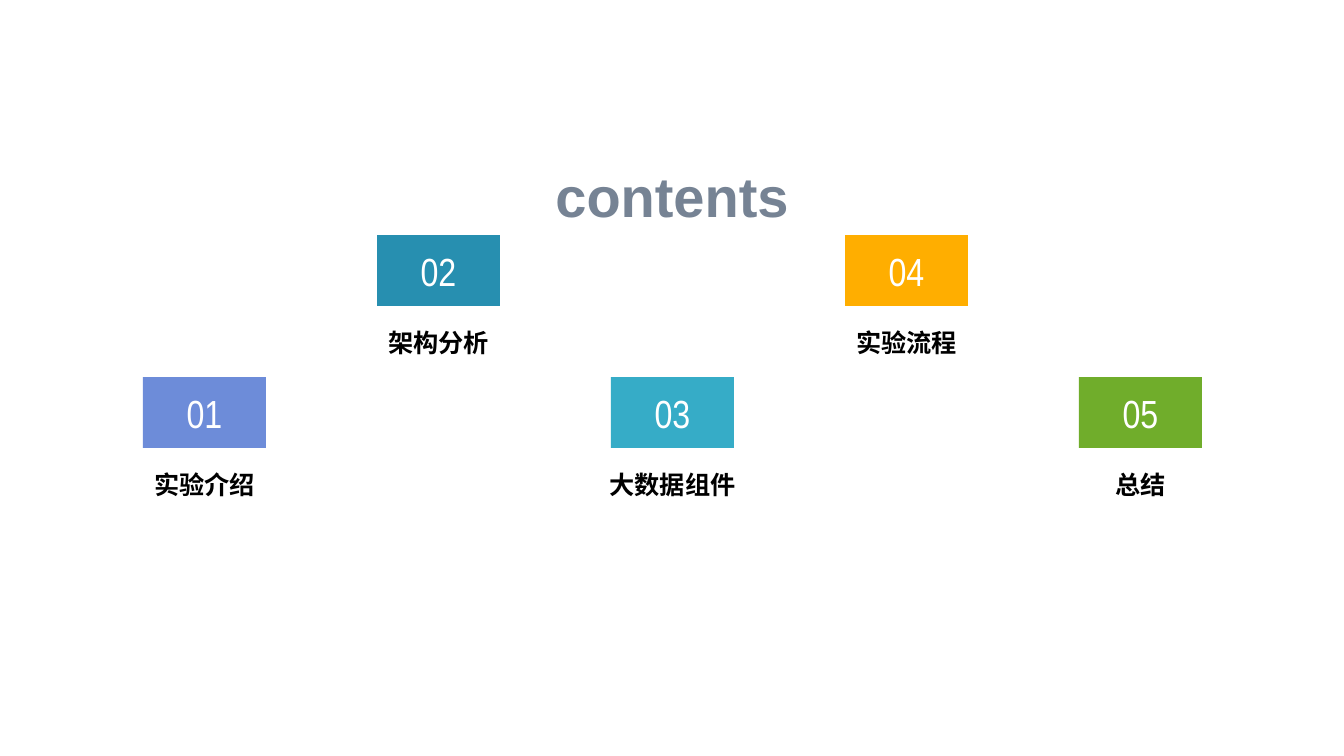
from pptx import Presentation
from pptx import util as u
from pptx.dml.color import RGBColor
from pptx.enum import shapes, text

PX = 914400 / 100.8  # EMU in one px


class Theme:
    title, label, number = "768394", "000000", "FFFFFF"
    boxes = ["6D8CD9", "278FB0", "36ACC7", "FFAE00", "70AD2B"]
    title_pt, label_pt, number_pt = 40, 18, 28
    font, number_font = "Arial", "Arial Narrow"


def px(*lengths):
    return [u.Emu(round(n * PX)) for n in lengths]


def write(sp, words, font, size, color, bold, anchor, inset):
    tf = sp.text_frame
    tf.word_wrap = False
    tf.auto_size = text.MSO_AUTO_SIZE.NONE
    tf.vertical_anchor = anchor
    tf.margin_left, tf.margin_top, tf.margin_right, tf.margin_bottom = px(*inset)
    p = tf.paragraphs[0]
    p.alignment = text.PP_ALIGN.CENTER
    r = p.add_run()
    r.text = words
    r.font.name, r.font.size, r.font.bold = font, u.Pt(size), bold
    r.font.color.rgb = RGBColor.from_string(color)


prs = Presentation()
prs.slide_width, prs.slide_height = px(1344, 756)
slide = prs.slides.add_slide(prs.slide_layouts[5])
INSET = (10, 5, 10, 5)

# Title
title = slide.shapes.title
title.left, title.top, title.width, title.height = px(500, 157, 344, 79)
write(title, "contents", Theme.font, Theme.title_pt, Theme.title, True,
      text.MSO_ANCHOR.TOP, INSET)

# Chapters: numbered boxes in a zigzag, each with a label below
chapters = ["实验介绍", "架构分析", "大数据组件", "实验流程", "总结"]
for i, chapter in enumerate(chapters):
    left = 143 + 234 * i
    top = 235 if i % 2 else 377

    box = slide.shapes.add_shape(shapes.MSO_SHAPE.RECTANGLE, *px(left, top, 123, 71))
    box.shadow.inherit = False
    box.fill.solid()
    box.fill.fore_color.rgb = RGBColor.from_string(Theme.boxes[i])
    box.line.fill.background()
    write(box, f"{i + 1:02}", Theme.number_font, Theme.number_pt, Theme.number, False,
          text.MSO_ANCHOR.MIDDLE, (0, 0, 0, 0))

    label = slide.shapes.add_textbox(*px(left - 55, top + 86, 233, 42))
    write(label, chapter, Theme.font, Theme.label_pt, Theme.label, True,
          text.MSO_ANCHOR.BOTTOM, INSET)

prs.save("out.pptx")
